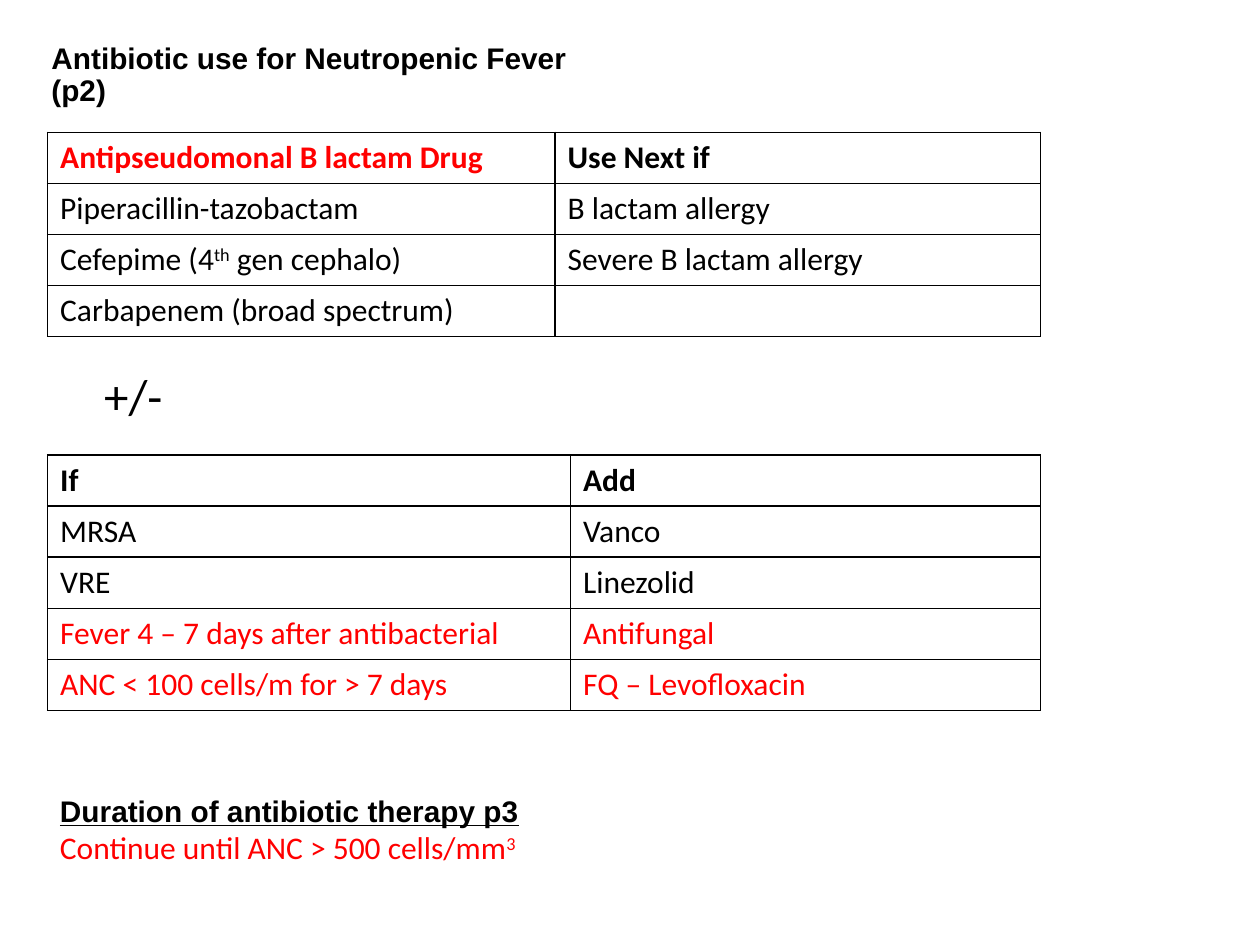
from lxml import etree
from pptx import Presentation
from pptx.dml.color import RGBColor
from pptx.enum.text import MSO_AUTO_SIZE
from pptx.oxml.ns import qn
from pptx.util import Pt

FIT_SHAPE = MSO_AUTO_SIZE.SHAPE_TO_FIT_TEXT
COLORS = {"text": "000000", "key": "FF0000", "border": "000000"}
ROW_HEIGHT = 29.2
BORDER_SIDES = ("a:lnL", "a:lnR", "a:lnT", "a:lnB")


def add_runs(paragraph, text, color="text", font="Calibri", size=18, bold=False, underline=False):
    for index, part in enumerate(text.split("^")):
        run = paragraph.add_run()
        run.text = part
        run.font.name = font
        run.font.size = Pt(size)
        run.font.bold = bold
        run.font.underline = underline
        run.font.color.rgb = RGBColor.from_string(COLORS[color])
        if index % 2:
            run._r.get_or_add_rPr().set("baseline", "30000")


def add_borders(cell):
    properties = cell._tc.get_or_add_tcPr()
    for side in BORDER_SIDES:
        line = etree.SubElement(properties, qn(side), w=str(Pt(1)))
        fill = etree.SubElement(line, qn("a:solidFill"))
        etree.SubElement(fill, qn("a:srgbClr"), val=COLORS["border"])


def add_drug_table(slide, left, top, widths, rows):
    table = slide.shapes.add_table(
        len(rows), len(widths), Pt(left), Pt(top), Pt(sum(widths)), Pt(ROW_HEIGHT * len(rows))
    ).table
    table.first_row = False
    table.horz_banding = False
    for column, width in zip(table.columns, widths):
        column.width = Pt(width)
    for r, entries in enumerate(rows):
        table.rows[r].height = Pt(ROW_HEIGHT)
        for c, (text, color) in enumerate(entries):
            cell = table.cell(r, c)
            add_borders(cell)
            cell.fill.background()
            if text:
                add_runs(cell.text_frame.paragraphs[0], text, color, bold=r == 0)


def add_text_frame(slide, left, top, width, height, wrap=False):
    frame = slide.shapes.add_textbox(Pt(left), Pt(top), Pt(width), Pt(height)).text_frame
    frame.word_wrap = wrap
    frame.auto_size = FIT_SHAPE
    return frame


def add_title(slide, left, top, width, height):
    title = add_text_frame(slide, left, top, width, height, wrap=True).paragraphs[0]
    properties = title._p.get_or_add_pPr()
    properties.set("marL", str(Pt(36)))
    properties.set("indent", "0")
    title.level = 1
    title.line_spacing = 0.9
    add_runs(title, "Antibiotic use for Neutropenic Fever (p2)", font="Arial", size=17, bold=True)


def add_plus_minus(slide, left, top, width, height):
    frame = add_text_frame(slide, left, top, width, height)
    add_runs(frame.paragraphs[0], "+/-", size=28)


def add_duration(slide, left, top, width, height):
    frame = add_text_frame(slide, left, top, width, height)
    heading = frame.paragraphs[0]
    heading.level = 1
    heading._p.get_or_add_pPr().set("marL", "0")
    add_runs(heading, "Duration of antibiotic therapy p3", font="Arial", size=17, bold=True, underline=True)
    add_runs(frame.add_paragraph(), "Continue until ANC > 500 cells/mm^3", "key")


def main():
    presentation = Presentation()
    presentation.slide_width = Pt(720)
    presentation.slide_height = Pt(540)
    slide = presentation.slides.add_slide(presentation.slide_layouts[6])

    first_choices = [
        (("Antipseudomonal B lactam Drug", "key"), ("Use Next if", "text")),
        (("Piperacillin-tazobactam", "text"), ("B lactam allergy", "text")),
        (("Cefepime (4^th^ gen cephalo)", "text"), ("Severe B lactam allergy", "text")),
        (("Carbapenem (broad spectrum)", "text"), ("", "text")),
    ]
    additions = [
        (("If", "text"), ("Add", "text")),
        (("MRSA", "text"), ("Vanco", "text")),
        (("VRE", "text"), ("Linezolid", "text")),
        (("Fever 4 – 7 days after antibacterial", "key"), ("Antifungal", "key")),
        (("ANC < 100 cells/m for > 7 days", "key"), ("FQ – Levofloxacin", "key")),
    ]

    add_drug_table(slide, 27.2, 75.6, (290, 277.4), first_choices)
    add_drug_table(slide, 27.2, 260, (298.8, 268.6), additions)
    add_plus_minus(slide, 52.5, 205.2, 48.2, 41)
    add_duration(slide, 27.2, 449.3, 278.6, 51.1)
    add_title(slide, -13.7, 21.6, 347.8, 44)
    presentation.save("out.pptx")


if __name__ == "__main__":
    main()
